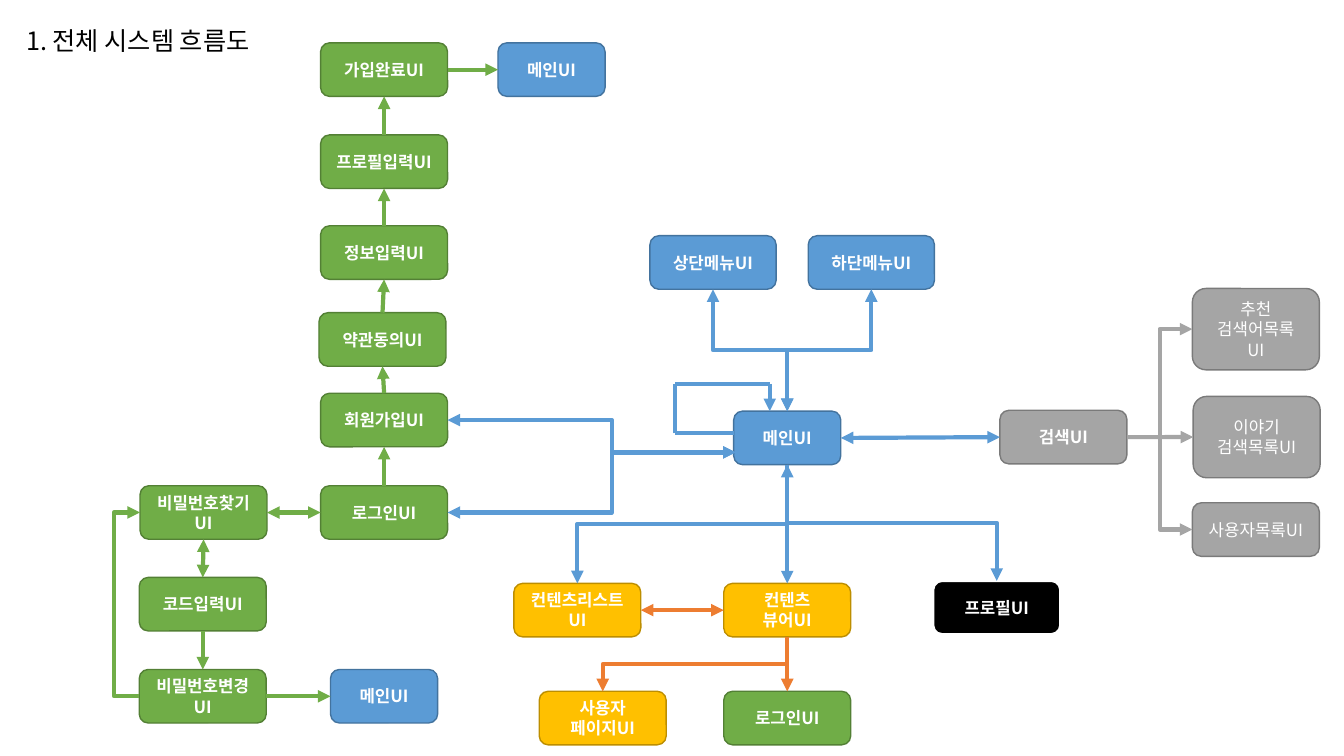
"""Builds the system flow slide: screens as boxes, moves between them as arrows."""
from dataclasses import dataclass

from lxml import etree
from pptx import Presentation
from pptx.dml.color import RGBColor
from pptx.enum.shapes import MSO_CONNECTOR, MSO_SHAPE
from pptx.enum.text import MSO_ANCHOR, PP_ALIGN
from pptx.oxml.ns import qn
from pptx.util import Cm, Pt

ROUND = MSO_SHAPE.ROUNDED_RECTANGLE
STRAIGHT, ELBOW = MSO_CONNECTOR.STRAIGHT, MSO_CONNECTOR.ELBOW
MIDDLE = MSO_ANCHOR.MIDDLE
LEFT, CENTER = PP_ALIGN.LEFT, PP_ALIGN.CENTER
TOP, WEST, BOTTOM, EAST = range(4)


@dataclass(frozen=True)
class Theme:
    font: str = "Noto Sans CJK KR"
    title: int = 18
    label: int = 12
    arrow: int = 3
    white: str = "FFFFFF"
    black: str = "000000"
    blue: str = "5B9BD5"
    green: str = "70AD47"
    gray: str = "A5A5A5"
    gold: str = "FFC000"
    orange: str = "ED7D31"


theme = Theme()
edges = {
    theme.blue: ("43739E", 1),
    theme.green: ("538035", 1),
    theme.gray: ("7A7A7A", 1),
    theme.gold: ("BD8E00", 1),
    theme.black: (theme.white, 1.5),
}


def write(frame, text, size, color, bold, align):
    frame.text = text
    for para in frame.paragraphs:
        para.alignment = align
        font = para.font
        font.name, font.size, font.bold = theme.font, Pt(size), bold
        font.color.rgb = RGBColor.from_string(color)
        props = para._p.pPr.find(qn("a:defRPr"))
        etree.SubElement(props, qn("a:ea"), typeface=theme.font)


def style(line, color, ends):
    line.line.color.rgb = RGBColor.from_string(color)
    line.line.width = Pt(theme.arrow)
    props = line._element.spPr
    for end in ends:
        etree.SubElement(props.find(qn("a:ln")), qn(f"a:{end}"), type="triangle")
    etree.SubElement(props, qn("a:effectLst"))


deck = Presentation()
deck.slide_width, deck.slide_height = Cm(33.87), Cm(19.05)
slide = deck.slides.add_slide(deck.slide_layouts[6])
shapes = slide.shapes

title = shapes.add_textbox(Cm(0.41), Cm(0.51), Cm(6.8), Cm(1.02))
title.text_frame.word_wrap = False
write(title.text_frame, "1. 전체 시스템 흐름도", theme.title, theme.black, False, LEFT)

wide, mid, slim = 3.2, 3.18, 2.7
low, tall = 1.35, 2.05
screens = [
    ("main", "메인UI", 18.49, 10.36, slim, low, theme.blue),
    ("upper", "상단메뉴UI", 16.38, 5.94, mid, low, theme.blue),
    ("lower", "하단메뉴UI", 20.37, 5.94, mid, low, theme.blue),
    ("done", "가입완료UI", 8.08, 1.08, wide, low, theme.green),
    ("bio", "프로필입력UI", 8.08, 3.4, wide, low, theme.green),
    ("info", "정보입력UI", 8.08, 5.69, wide, low, theme.green),
    ("terms", "약관동의UI", 8.04, 7.88, wide, low, theme.green),
    ("join", "회원가입UI", 8.08, 9.91, wide, low, theme.green),
    ("login", "로그인UI", 8.08, 12.24, wide, low, theme.green),
    ("find", "비밀번호찾기UI", 3.53, 12.24, wide, low, theme.green),
    ("code", "코드입력UI", 3.51, 14.55, wide, low, theme.green),
    ("reset", "비밀번호변경UI", 3.51, 16.87, wide, low, theme.green),
    ("joined", "메인UI", 12.55, 1.08, slim, low, theme.blue),
    ("renewed", "메인UI", 8.33, 16.87, slim, low, theme.blue),
    ("search", "검색UI", 25.2, 10.34, wide, low, theme.gray),
    ("hints", "추천\n검색어목록\nUI", 30.05, 7.27, wide, tall, theme.gray),
    ("tales", "이야기\n검색목록UI", 30.07, 9.99, wide, tall, theme.gray),
    ("users", "사용자목록UI", 30.05, 12.67, wide, low, theme.gray),
    ("list", "컨텐츠리스트\nUI", 12.95, 14.7, wide, low, theme.gold),
    ("viewer", "컨텐츠\n뷰어UI", 18.24, 14.7, wide, low, theme.gold),
    ("profile", "프로필UI", 23.52, 14.64, wide, 1.34, theme.black),
    ("author", "사용자\n페이지UI", 13.59, 17.42, wide, low, theme.gold),
    ("relog", "로그인UI", 18.24, 17.42, wide, low, theme.green),
]
plain = ("hints", "tales", "users")
boxes = {}
for key, text, left, top, width, height, fill in screens:
    box = shapes.add_shape(ROUND, Cm(left), Cm(top), Cm(width), Cm(height))
    box.shadow.inherit = False
    box.fill.solid()
    box.fill.fore_color.rgb = RGBColor.from_string(fill)
    edge, weight = edges[fill]
    box.line.color.rgb = RGBColor.from_string(edge)
    box.line.width = Pt(weight)
    box.text_frame.word_wrap = True
    box.text_frame.vertical_anchor = MIDDLE
    write(box.text_frame, text, theme.label, theme.white, key not in plain, CENTER)
    boxes[key] = box

one, both = ("tailEnd",), ("headEnd", "tailEnd")
moves = [
    ("login", TOP, "join", BOTTOM, theme.green, one),
    ("join", TOP, "terms", BOTTOM, theme.green, one),
    ("terms", TOP, "info", BOTTOM, theme.green, one),
    ("info", TOP, "bio", BOTTOM, theme.green, one),
    ("bio", TOP, "done", BOTTOM, theme.green, one),
    ("done", EAST, "joined", WEST, theme.green, one),
    ("login", WEST, "find", EAST, theme.green, both),
    ("find", BOTTOM, "code", TOP, theme.green, both),
    ("code", BOTTOM, "reset", TOP, theme.green, one),
    ("reset", EAST, "renewed", WEST, theme.green, one),
    ("main", EAST, "search", WEST, theme.blue, both),
    ("search", EAST, "tales", WEST, theme.gray, one),
    ("main", BOTTOM, "viewer", TOP, theme.blue, one),
    ("viewer", WEST, "list", EAST, theme.orange, both),
    ("viewer", BOTTOM, "relog", TOP, theme.orange, one),
]
for start, out, goal, into, color, ends in moves:
    line = shapes.add_connector(STRAIGHT, 0, 0, 0, 0)
    line.begin_connect(boxes[start], out)
    line.end_connect(boxes[goal], into)
    style(line, color, ends)

bends = [
    ("main", TOP, "upper", BOTTOM, theme.blue, both, 0.5),
    ("main", TOP, "lower", BOTTOM, theme.blue, both, 0.5),
    ("main", BOTTOM, "list", TOP, theme.blue, both, 0.5),
    ("main", BOTTOM, "profile", TOP, theme.blue, one, 0.5),
    ("viewer", BOTTOM, "author", TOP, theme.orange, one, 0.5),
    ("search", EAST, "hints", WEST, theme.gray, one, 0.5),
    ("search", EAST, "users", WEST, theme.gray, one, 0.5),
    ("reset", WEST, "find", WEST, theme.green, one, -32),
    ("join", EAST, None, WEST, theme.blue, both, 0.57),
    ("login", EAST, None, WEST, theme.blue, both, 0.57),
]
for start, out, goal, into, color, ends, turn in bends:
    line = shapes.add_connector(ELBOW, 0, 0, Cm(18.54), Cm(11.4))
    line.begin_connect(boxes[start], out)
    if goal:
        line.end_connect(boxes[goal], into)
    props = line._element.spPr
    guides = props.find(qn("a:prstGeom")).find(qn("a:avLst"))
    etree.SubElement(guides, qn("a:gd"), name="adj1", fmla=f"val {round(turn * 100000)}")
    if out in (TOP, BOTTOM):
        across, down = line.end_x - line.begin_x, line.end_y - line.begin_y
        line.left = (line.begin_x + line.end_x - abs(down)) // 2
        line.top = (line.begin_y + line.end_y - abs(across)) // 2
        line.width, line.height = abs(down), abs(across)
        frame = props.find(qn("a:xfrm"))
        frame.set("rot", "5400000")
        frame.set("flipH", str(int(down < 0)))
        frame.set("flipV", str(int(across > 0)))
    style(line, color, ends)

loop = [(18.49, 10.92), (17.02, 10.92), (17.02, 9.67), (19.4, 9.67), (19.4, 10.36)]
for spot, (begin, end) in enumerate(zip(loop, loop[1:]), 2):
    line = shapes.add_connector(STRAIGHT, *map(Cm, begin + end))
    style(line, theme.blue, one if spot == len(loop) else ())

deck.save("out.pptx")
